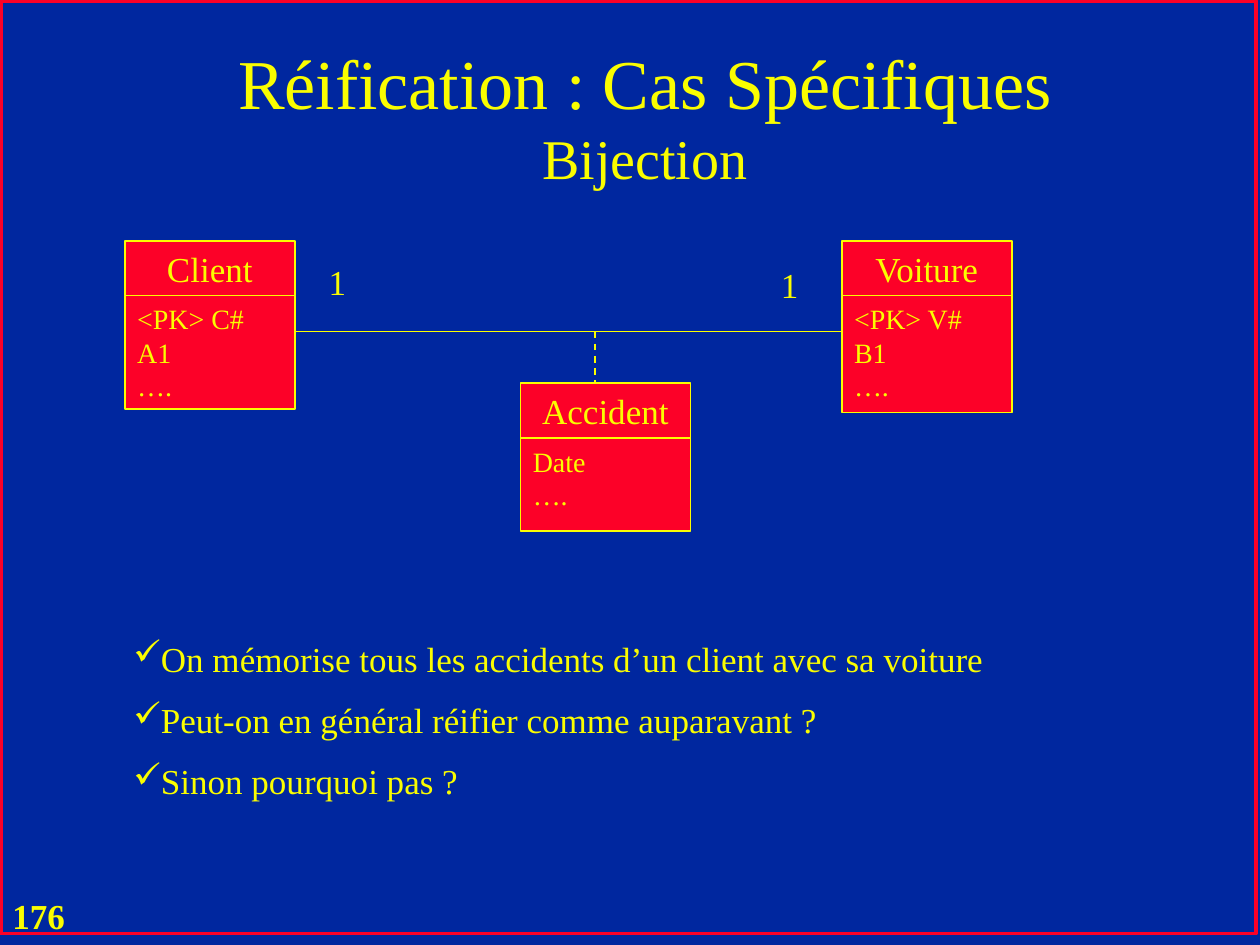
from lxml import etree
from pptx import Presentation
from pptx import util as u
from pptx.dml.color import RGBColor
from pptx.enum import dml, shapes, text
from pptx.oxml import ns

FONT = "Times New Roman"
COLORS = {"back": "00279F", "ink": "FAFD00", "box": "FC0128"}
WIDE, HIGH = u.Inches(10), u.Inches(7.5)
COL, ROW = WIDE / 100, HIGH / 75
HEAD = 4.35  # rows in the name part of a class box
BOX = 13.5   # columns across a class box


def rgb(name):
    return RGBColor.from_string(COLORS[name])


def grid(x, y, *size):
    """Turn column and row counts into slide lengths."""
    return [round(n * cell) for n, cell in zip((x, y, *size), (COL, ROW) * 2)]


def style(para, size, align=text.PP_ALIGN.LEFT, bold=False):
    para.alignment = align
    font = para.font
    font.name, font.size, font.bold = FONT, u.Pt(size), bold
    font.color.rgb = rgb("ink")


def bullet(para, mark):
    props = para._p.get_or_add_pPr()
    props.set("marL", "0")
    props.set("indent", "0")
    etree.SubElement(props, ns.qn("a:buChar")).set("char", mark)


def label(slide, place, lines, size, mark=None, gap=0, wrap=True, **look):
    frame = slide.shapes.add_textbox(*grid(*place)).text_frame
    frame.word_wrap = wrap
    frame.text = "\n".join(lines)
    for i, para in enumerate(frame.paragraphs):
        if i:
            para.space_before = u.Pt(gap)
        if mark:
            bullet(para, mark)
        style(para, size, **look)
    return frame


def rect(slide, place, fill=None, edge="ink", width=1):
    shape = slide.shapes.add_shape(shapes.MSO_SHAPE.RECTANGLE, *grid(*place))
    shape.shadow.inherit = False
    if fill:
        shape.fill.solid()
        shape.fill.fore_color.rgb = rgb(fill)
    else:
        shape.fill.background()
    shape.line.color.rgb = rgb(edge)
    shape.line.width = u.Pt(width)
    return shape


def entity(slide, x, y, name, fields, rows):
    """Draw a class box: its name above its list of fields."""
    parts = (
        (y, HEAD, name, 20, text.PP_ALIGN.CENTER, text.MSO_ANCHOR.MIDDLE),
        (y + HEAD, rows, fields, 16, text.PP_ALIGN.LEFT, text.MSO_ANCHOR.TOP),
    )
    for top, deep, words, size, align, anchor in parts:
        frame = rect(slide, (x, top, BOX, deep), fill="box").text_frame
        frame.word_wrap = True
        frame.vertical_anchor = anchor
        frame.text = words
        for para in frame.paragraphs:
            style(para, size, align)


def link(slide, start, end, dash=None):
    line = slide.shapes.add_connector(
        shapes.MSO_CONNECTOR.STRAIGHT, *grid(*start), *grid(*end))
    line.line.color.rgb = rgb("ink")
    line.line.width = u.Pt(1)
    if dash:
        line.line.dash_style = dash
    etree.SubElement(line._element.spPr, ns.qn("a:effectLst"))


def title(slide, main_line, sub_line):
    frame = label(slide, (8.7, 2.9, 85, 12.5), [main_line], 40,
                  align=text.PP_ALIGN.CENTER)
    frame.vertical_anchor = text.MSO_ANCHOR.MIDDLE
    para = frame.paragraphs[0]
    para.add_line_break()
    run = para.add_run()
    run.text = sub_line
    run.font.size = u.Pt(32)


def main():
    deck = Presentation()
    deck.slide_width, deck.slide_height = WIDE, HIGH
    slide = deck.slides.add_slide(deck.slide_layouts[6])
    slide.background.fill.solid()
    slide.background.fill.fore_color.rgb = rgb("back")

    label(slide, (0, 70.5, 6.9, 4.3), ["176"], 20, wrap=False, bold=True)
    rect(slide, (0.1, 0.1, 99.6, 74), edge="box", width=2)
    title(slide, "Réification : Cas Spécifiques", "Bijection")

    entity(slide, 9.9, 19.1, "Client", "<PK> C#\nA1\n….", 9)
    entity(slide, 66.8, 19.1, "Voiture", "<PK> V#\nB1\n….", 9.3)
    link(slide, (23.4, 26.3), (66.9, 26.3))
    entity(slide, 41.3, 30.4, "Accident", "Date\n….", 7.4)
    link(slide, (47.2, 26.3), (47.2, 30.3), dml.MSO_LINE.DASH)

    for x, y in ((25.1, 20.2), (61, 20.4)):
        label(slide, (x, y, 4, 4.3), ["1"], 20)

    label(slide, (9.6, 50.1, 81.5, 14.3), [
        "On mémorise tous les accidents d’un client avec sa voiture",
        "Peut-on en général réifier comme auparavant ?",
        "Sinon pourquoi pas ?",
    ], 20, mark="✓", gap=11)

    deck.save("out.pptx")


if __name__ == "__main__":
    main()
